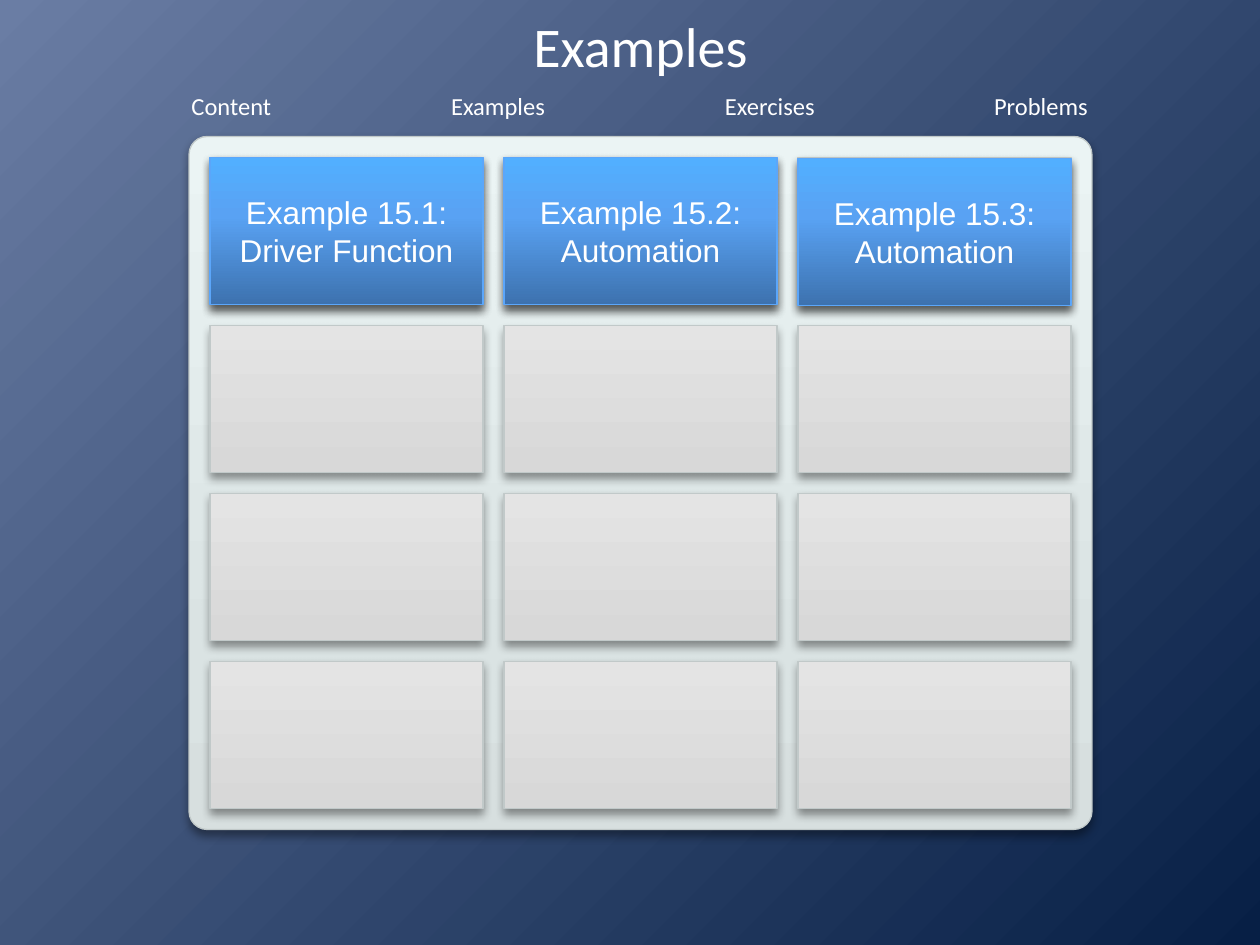
from copy import deepcopy
from itertools import product
from lxml.etree import SubElement
from pptx import Presentation
from pptx.dml.color import RGBColor
from pptx.enum.shapes import MSO_SHAPE
from pptx.enum.text import MSO_ANCHOR, MSO_AUTO_SIZE, PP_ALIGN
from pptx.oxml.ns import qn
from pptx.util import Inches, Pt


def paint(fill, root, angle, stops):
    fill.gradient()
    fill.gradient_angle = angle
    marks = next(root.iter(qn("a:gsLst")))
    while len(marks) < len(stops):
        marks.append(deepcopy(marks[-1]))
    for mark, (place, shade) in zip(fill.gradient_stops, stops):
        mark.position = place
        mark.color.rgb = RGBColor.from_string(shade)


def write(frame, text, face, size, shade):
    frame.text = text
    frame.vertical_anchor = MSO_ANCHOR.MIDDLE
    for para in frame.paragraphs:
        para.alignment = PP_ALIGN.CENTER
        for run in para.runs:
            run.font.name = face
            run.font.size = Pt(size)
            run.font.color.rgb = RGBColor.from_string(shade)


deck = Presentation()
deck.slide_width, deck.slide_height = Inches(10), Inches(7.5)
unit = deck.slide_width / 60
slide = deck.slides.add_slide(deck.slide_layouts[5])
paint(slide.background.fill, slide.element, 315, [(0, "6A7DA4"), (1, "071F45")])

pale = [(0, "D7DFDF"), (0.25, "DAE3E3"), (1, "EBF4F4")]
gray = [(0, "D8D8D8"), (0.01, "D8D8D8"), (1, "E4E4E4")]
blue = [(0, "3D72AF"), (0.6, "59A2F3"), (1, "52AFFF")]
names = ["Example 15.1:\vDriver Function", "Example 15.2:\vAutomation", "Example 15.3:\vAutomation"]
drops = [0, 0, 0.06]

parts = [(MSO_SHAPE.ROUNDED_RECTANGLE, 9, 6.5, 43, 33, pale, "C1C9C9", "")]
for row, col in product(range(4), range(3)):
    parts.append((MSO_SHAPE.RECTANGLE, 10 + 14 * col, 7.5 + 8 * row, 13, 7, gray, "C1C9C9", ""))
for col, (name, drop) in enumerate(zip(names, drops)):
    parts.append((MSO_SHAPE.RECTANGLE, 10 + 14 * col, 7.5 + drop, 13, 7, blue, "5BA6FA", name))

for kind, left, top, wide, high, stops, edge, text in parts:
    tile = slide.shapes.add_shape(kind, *(int(n * unit) for n in (left, top, wide, high)))
    if kind == MSO_SHAPE.ROUNDED_RECTANGLE:
        tile.adjustments[0] = 0.026
    paint(tile.fill, tile.element.spPr, 90, stops)
    tile.line.color.rgb = RGBColor.from_string(edge)
    tile.line.width = Pt(0.75)
    tile.shadow.inherit = False
    glow = SubElement(tile.element.spPr.find(qn("a:effectLst")), qn("a:outerShdw"),
                      blurRad=str(Pt(5.2)), dist=str(Pt(3)), dir="5400000", rotWithShape="0")
    ink = SubElement(glow, qn("a:srgbClr"), val="000000")
    SubElement(ink, qn("a:alpha"), val="40000")
    if text:
        write(tile.text_frame, text, "Arial", 18, "FFFFFF")

left = 8.5
for text, wide in [("Content", 5.04), ("Examples", 5.76), ("Exercises", 5.52), ("Problems", 5.7)]:
    box = slide.shapes.add_textbox(*(int(n * unit) for n in (left, 4, wide, 2.04)))
    box.text_frame.word_wrap = False
    box.text_frame.auto_size = MSO_AUTO_SIZE.SHAPE_TO_FIT_TEXT
    write(box.text_frame, text, "Calibri", 14, "FFFFFF")
    left += wide + 7.3

title = slide.shapes.title
title.left, title.top, title.width, title.height = (int(n * unit) for n in (9, 0.66, 43, 3))
frame = title.text_frame
frame.margin_left = frame.margin_top = frame.margin_right = frame.margin_bottom = 0
frame.auto_size = MSO_AUTO_SIZE.NONE
write(frame, "Examples", "Calibri", 32, "FFFFFF")

deck.save("out.pptx")
